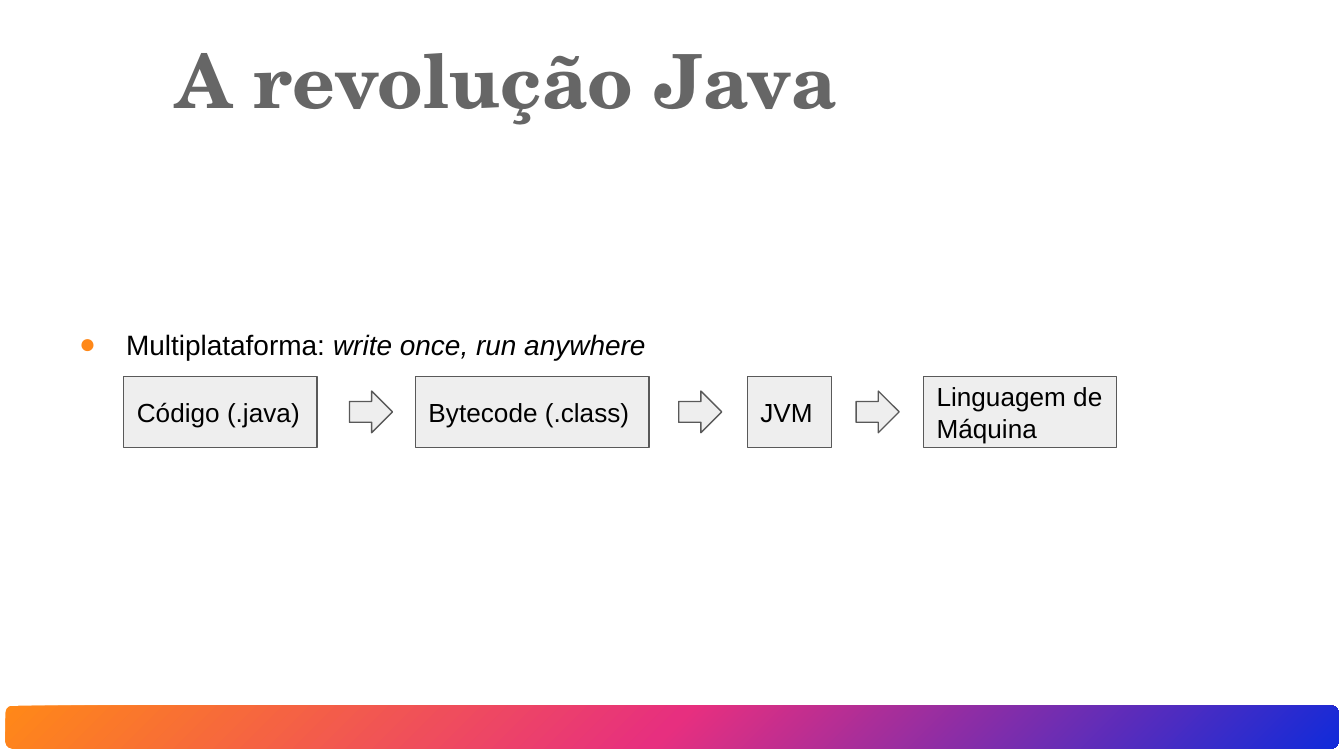
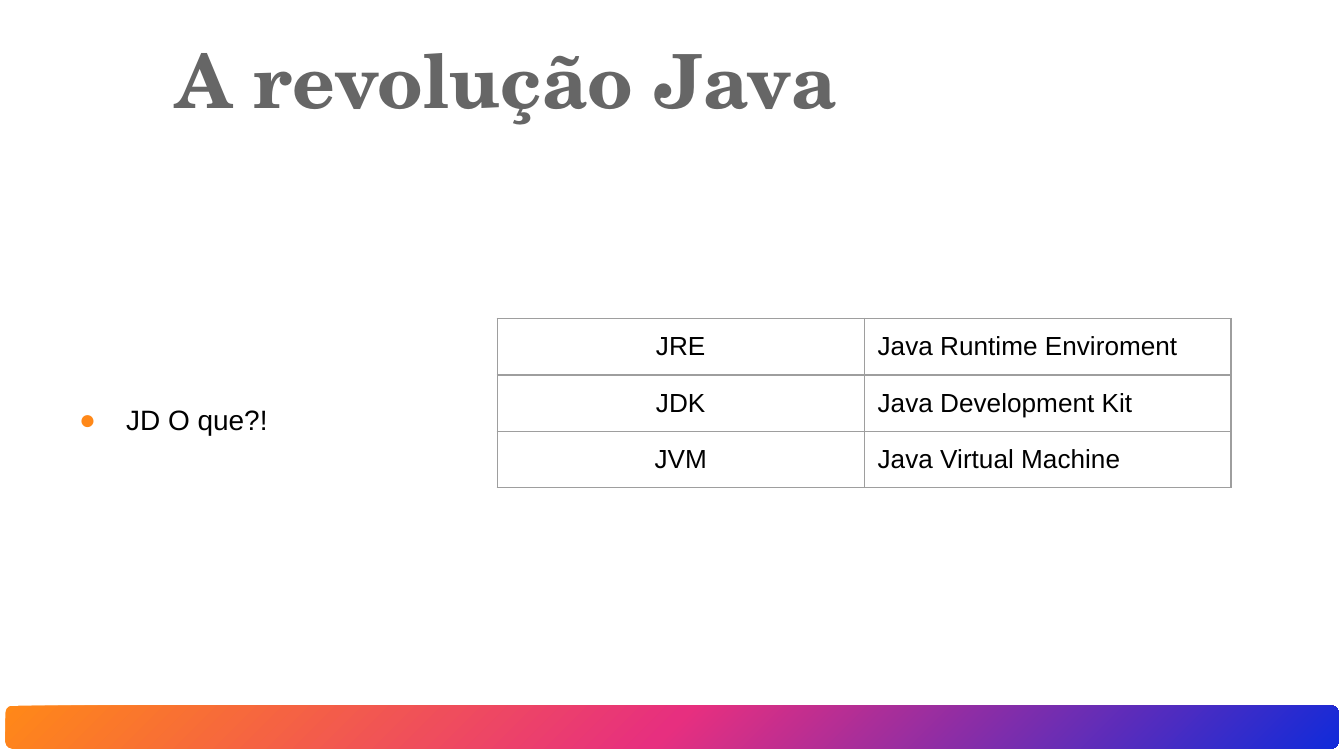
from dataclasses import dataclass

from lxml.etree import SubElement
from pptx import Presentation
from pptx.dml.color import RGBColor
from pptx.enum.shapes import MSO_SHAPE
from pptx.enum.text import MSO_ANCHOR, PP_ALIGN
from pptx.oxml import parse_xml
from pptx.oxml.ns import nsdecls, qn
from pptx.util import Inches, Pt


@dataclass(frozen=True)
class Theme:
    title_font: str = "TeX Gyre Schola"
    body_font: str = "Arial"
    title_size: int = 40
    bullet_size: int = 15
    label_size: int = 14
    title: str = "666666"
    text: str = "000000"
    bullet: str = "FF8818"
    step_fill: str = "EEEEEE"
    step_line: str = "595959"
    grid: str = "9E9E9E"
    line_width: float = 0.75
    band: tuple = ((0, "FF8818"), (50, "E72F7F"), (100, "112BDA"))


THEME = Theme()

TITLE = "A revolução Java"
# Each bullet is a list of (text, italic) pieces.
MOTTO = [("Multiplataforma: ", False), ("write once, run anywhere", True)]
QUESTION = [("JD O que?!", False)]
# Label, left, width
STEPS = [
    ("Código (.java)", 0.92, 1.44),
    ("Bytecode (.class)", 3.09, 1.74),
    ("JVM", 5.56, 0.63),
    ("Linguagem de Máquina", 6.87, 1.44),
]
ARROW_LEFTS = [2.6, 5.05, 6.37]
ACRONYMS = [
    ("JRE", "Java Runtime Enviroment"),
    ("JDK", "Java Development Kit"),
    ("JVM", "Java Virtual Machine"),
]

SLIDE_WIDTH = Inches(10)
SLIDE_HEIGHT = SLIDE_WIDTH * 9 // 16
STEP_TOP, STEP_HEIGHT = 2.8, 0.53
ARROW_WIDTH, ARROW_HEIGHT = 0.32, 0.31
TABLE_LEFT, TABLE_TOP = 3.7, 2.37
COLUMN_WIDTH, ROW_HEIGHT = 2.73, 0.42
INSET, CELL_BOTTOM = 0.1, 0.08


def rgb(value):
    return RGBColor.from_string(value)


def box(left, top, width, height):
    return [Inches(v) for v in (left, top, width, height)]


def style_font(paragraph, size, color=THEME.text, name=THEME.body_font, bold=False):
    font = paragraph.font
    font.name, font.size, font.bold = name, Pt(size), bold
    font.color.rgb = rgb(color)


def pad(holder, bottom=INSET):
    """Set the insets of a text frame or a table cell."""
    holder.margin_left = holder.margin_right = holder.margin_top = Inches(INSET)
    holder.margin_bottom = Inches(bottom)


def prepare_frame(shape, bottom=INSET):
    frame = shape.text_frame
    frame.word_wrap = True
    frame.vertical_anchor = MSO_ANCHOR.MIDDLE
    pad(frame, bottom)
    return frame


def add_band(slide):
    band = slide.shapes.add_shape(MSO_SHAPE.ROUNDED_RECTANGLE, *box(0.04, 5.25, 9.92, 0.32))
    band.shadow.inherit = False
    band.line.fill.background()
    band.fill.gradient()
    band.fill.gradient_angle = 315
    stops = band._element.spPr.find(qn("a:gradFill")).find(qn("a:gsLst"))
    stops.clear()
    for percent, color in THEME.band:
        stop = SubElement(stops, qn("a:gs"), pos=str(percent * 1000))
        SubElement(stop, qn("a:srgbClr"), val=color)


def add_title(slide):
    frame = prepare_frame(slide.shapes.add_textbox(*box(1.21, 0.23, 7.61, 0.71)))
    frame.text = TITLE
    style_font(frame.paragraphs[0], THEME.title_size, THEME.title, THEME.title_font, bold=True)


def add_bullet(slide, pieces, room_below=0):
    """Add the middle-anchored bullet, raised by reserving room below it."""
    body = slide.shapes.add_textbox(*box(0.34, 0.94, 9.33, 4.24))
    paragraph = prepare_frame(body, INSET + room_below).paragraphs[0]
    paragraph.line_spacing = 1.5
    style_font(paragraph, THEME.bullet_size)
    for text, italic in pieces:
        run = paragraph.add_run()
        run.text = text
        if italic:
            run.font.italic = True
    props = paragraph._p.get_or_add_pPr()
    props.set("marL", str(Inches(0.5)))
    props.set("indent", str(Inches(-0.35)))
    marks = (
        f'<a:buClr {nsdecls("a")}><a:srgbClr val="{THEME.bullet}"/></a:buClr>',
        f'<a:buFont {nsdecls("a")} typeface="{THEME.body_font}"/>',
        f'<a:buChar {nsdecls("a")} char="●"/>',
    )
    spacing = props.find(qn("a:lnSpc"))
    for mark in reversed(marks):
        spacing.addnext(parse_xml(mark))


def add_flow_shape(slide, preset, left, top, width, height):
    shape = slide.shapes.add_shape(preset, *box(left, top, width, height))
    shape.shadow.inherit = False
    shape.fill.solid()
    shape.fill.fore_color.rgb = rgb(THEME.step_fill)
    shape.line.color.rgb = rgb(THEME.step_line)
    shape.line.width = Pt(THEME.line_width)
    return shape


def add_flow(slide):
    for label, left, width in STEPS:
        step = add_flow_shape(slide, MSO_SHAPE.RECTANGLE, left, STEP_TOP, width, STEP_HEIGHT)
        frame = prepare_frame(step)
        frame.text = label
        frame.paragraphs[0].alignment = PP_ALIGN.LEFT
        style_font(frame.paragraphs[0], THEME.label_size)
    arrow_top = STEP_TOP + (STEP_HEIGHT - ARROW_HEIGHT) / 2
    for left in ARROW_LEFTS:
        add_flow_shape(slide, MSO_SHAPE.RIGHT_ARROW, left, arrow_top, ARROW_WIDTH, ARROW_HEIGHT)


def add_borders(cell):
    props = cell._tc.get_or_add_tcPr()
    for index, side in enumerate(("lnL", "lnR", "lnT", "lnB")):
        props.insert(index, parse_xml(
            f'<a:{side} {nsdecls("a")} w="{Pt(THEME.line_width)}"><a:solidFill>'
            f'<a:srgbClr val="{THEME.grid}"/></a:solidFill></a:{side}>'))


def add_acronyms(slide):
    rows, columns = len(ACRONYMS), len(ACRONYMS[0])
    place = box(TABLE_LEFT, TABLE_TOP, columns * COLUMN_WIDTH, rows * ROW_HEIGHT)
    table = slide.shapes.add_table(rows, columns, *place).table
    table.first_row = table.horz_banding = False
    for r, entry in enumerate(ACRONYMS):
        for c, text in enumerate(entry):
            cell = table.cell(r, c)
            cell.text = text
            pad(cell, CELL_BOTTOM)
            cell.fill.background()
            add_borders(cell)
            paragraph = cell.text_frame.paragraphs[0]
            paragraph.alignment = PP_ALIGN.LEFT if c else PP_ALIGN.CENTER
            style_font(paragraph, THEME.label_size)


def add_base_slide(deck):
    slide = deck.slides.add_slide(deck.slide_layouts[6])
    add_band(slide)
    add_title(slide)
    return slide


def main():
    deck = Presentation()
    deck.slide_width, deck.slide_height = SLIDE_WIDTH, SLIDE_HEIGHT

    platform = add_base_slide(deck)
    add_bullet(platform, MOTTO, room_below=1.12)
    add_flow(platform)

    glossary = add_base_slide(deck)
    add_bullet(glossary, QUESTION)
    add_acronyms(glossary)

    deck.save("out.pptx")


if __name__ == "__main__":
    main()
